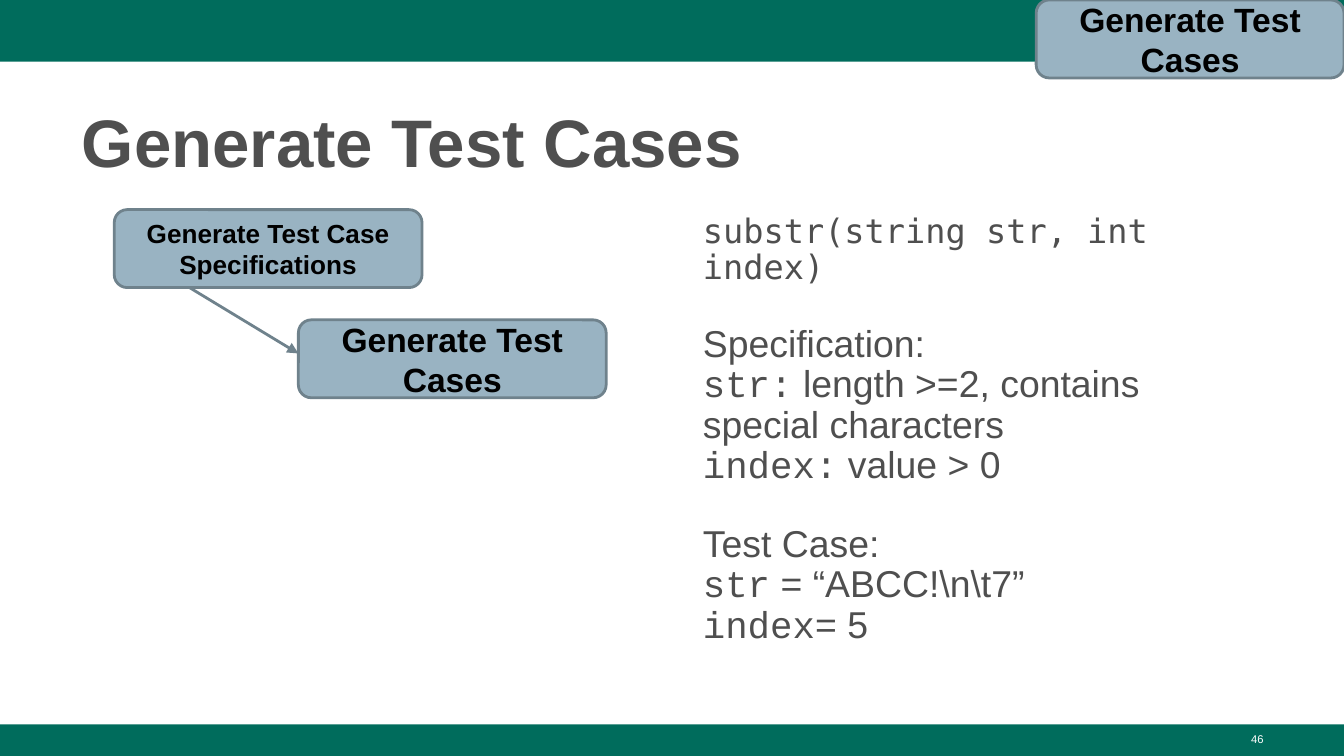
import pptx
import pptx.dml.color
import pptx.enum.shapes
import pptx.enum.text
import pptx.oxml.xmlchemy
import pptx.util
from lxml import etree
from pptx.oxml.ns import qn

GREEN, STEEL, SLATE, GREY = "006C5C", "99B3C2", "6F828C", "4F4F4F"
ALIGN = pptx.enum.text.PP_ALIGN
ANCHOR = pptx.enum.text.MSO_ANCHOR
SHAPE = pptx.enum.shapes.MSO_SHAPE

deck = pptx.Presentation()
deck.slide_width = pptx.util.Inches(10)
deck.slide_height = pptx.util.Inches(5.625)
slide = deck.slides.add_slide(deck.slide_layouts[1])
cell = deck.slide_width / 100  # grid of 100 columns, 56.25 rows


def grid(*cells):
    return [round(count * cell) for count in cells]


def style(font, size, colour, face="Arial", bold=False):
    font.size, font.name, font.bold = pptx.util.Pt(size), face, bold
    font.color.rgb = pptx.dml.color.RGBColor.from_string(colour)


# Green bands at the top and bottom
for top, height in [(0, 4.6), (53.9, 2.35)]:
    band = slide.shapes.add_shape(SHAPE.RECTANGLE, *grid(0, top, 100, height))
    band.shadow.inherit = False
    band.fill.solid()
    band.fill.fore_color.rgb = pptx.dml.color.RGBColor.from_string(GREEN)
    band.line.fill.background()

# Title
heading = slide.shapes.title
heading.left, heading.top, heading.width, heading.height = grid(5.1, 6.7, 89.9, 7.3)
heading.text_frame.text = "Generate Test Cases"
heading.text_frame.vertical_anchor = ANCHOR.BOTTOM
heading.text_frame.auto_size = pptx.enum.text.MSO_AUTO_SIZE.NONE
heading_line = heading.text_frame.paragraphs[0]
heading_line.alignment = ALIGN.LEFT
heading_line.line_spacing = 1.08
style(heading_line.runs[0].font, 36, GREY, bold=True)

# Process steps, the last one being the marker in the corner
steps = [
    ("Generate Test Case Specifications", 14, 8.5, 15.6),
    ("Generate Test Cases", 18, 22.2, 23.8),
    ("Generate Test Cases", 18, 77.1, 0),
]
for label, size, left, top in steps:
    step = slide.shapes.add_shape(SHAPE.ROUNDED_RECTANGLE, *grid(left, top, 22.9, 5.8))
    step.shadow.inherit = False
    step.fill.solid()
    step.fill.fore_color.rgb = pptx.dml.color.RGBColor.from_string(STEEL)
    step.line.color.rgb = pptx.dml.color.RGBColor.from_string(SLATE)
    step.line.width = pptx.util.Pt(1.5)
    frame = step.text_frame
    frame.text = label
    frame.word_wrap = True
    frame.vertical_anchor = ANCHOR.MIDDLE
    frame.margin_left = frame.margin_right = frame.margin_top = frame.margin_bottom = grid(1)[0]
    frame.paragraphs[0].alignment = ALIGN.CENTER
    style(frame.paragraphs[0].runs[0].font, size, "000000", bold=True)

# Arrow from the specifications to the test cases
arrow = slide.shapes.add_connector(
    pptx.enum.shapes.MSO_CONNECTOR.STRAIGHT, *grid(14.1, 21.4, 22.2, 26.3))
arrow.line.color.rgb = pptx.dml.color.RGBColor.from_string(SLATE)
arrow.line.width = pptx.util.Pt(1.5)
etree.SubElement(arrow.line._get_or_add_ln(), qn("a:tailEnd"), type="triangle")
etree.SubElement(arrow._element.spPr, qn("a:effectLst"))

# Worked example: (space before, size, code part, plain part)
example_lines = [
    (0, 18, "substr(string str, int index)", ""),
    (20.7, 20, "", "Specification:"),
    (0, 20, "str:", " length >=2, contains special characters"),
    (0, 20, "index:", " value > 0"),
    (20.7, 20, "", "Test Case:"),
    (0, 20, "str", r" = “ABCC!\n\t7”"),
    (0, 20, "index", "= 5"),
]
example = slide.placeholders[1]
example.left, example.top, example.width, example.height = grid(51.3, 13.1, 43.7, 37.8)
frame = example.text_frame
frame.auto_size = pptx.enum.text.MSO_AUTO_SIZE.NONE
frame.vertical_anchor = ANCHOR.MIDDLE
frame.margin_left = frame.margin_right = frame.margin_top = frame.margin_bottom = grid(1)[0]
for number, (gap, size, code, plain) in enumerate(example_lines):
    line = frame.paragraphs[0] if number == 0 else frame.add_paragraph()
    properties = line._p.get_or_add_pPr()
    properties.set("marL", "0")
    properties.set("indent", "0")
    etree.SubElement(properties, qn("a:buNone"))
    line.line_spacing = 0.9
    line.space_before = pptx.util.Pt(gap)
    line.space_after = pptx.util.Pt(0)
    code_face = "Courier New" if plain else "DejaVu Sans Mono"
    for wording, face in [(code, code_face), (plain, "Arial")]:
        if wording:
            run = line.add_run()
            run.text = wording
            style(run.font, size, GREY, face)

# Page number
page = slide.shapes.add_textbox(*grid(71.7, 54, 23.3, 2.3)).text_frame
page.word_wrap = True
page.text = "46"
page.paragraphs[0].alignment = ALIGN.RIGHT
style(page.paragraphs[0].runs[0].font, 6, "FFFFFF")

deck.save("out.pptx")
